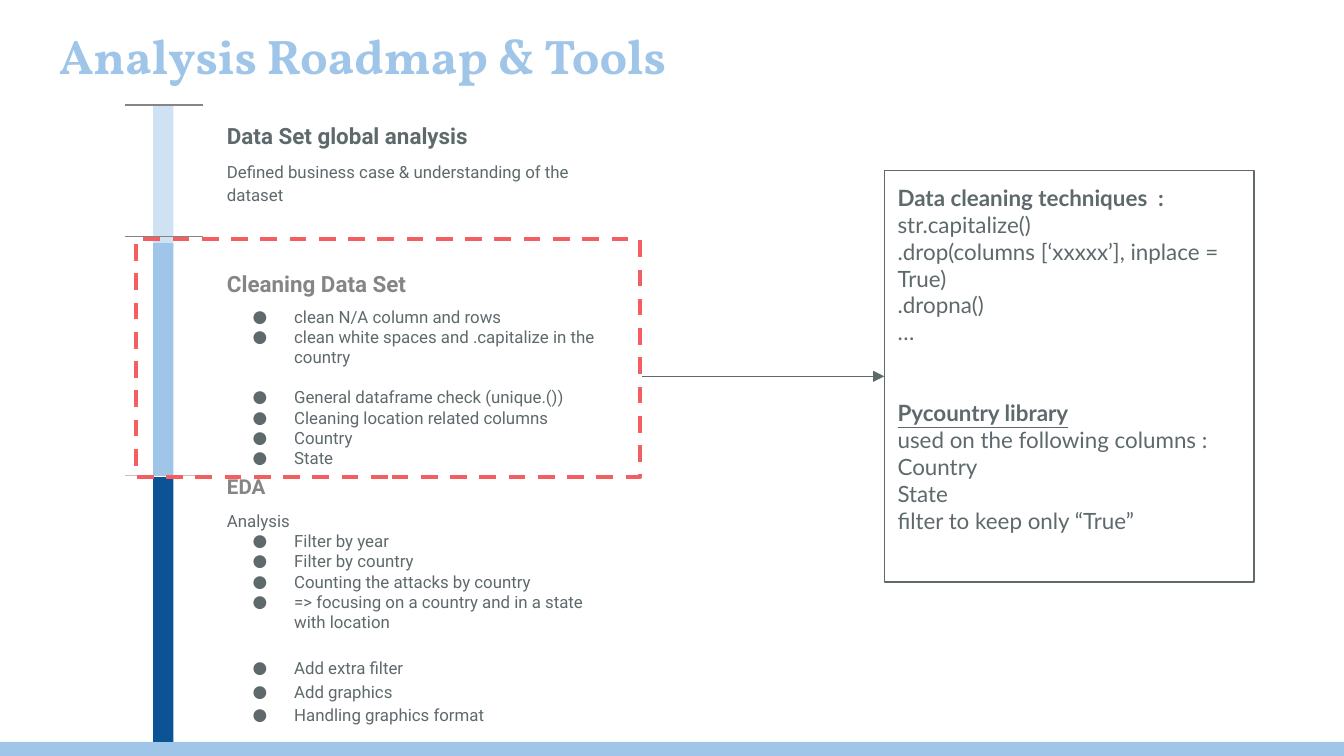
import dataclasses

import pptx
import pptx.dml.color
import pptx.enum.dml
import pptx.enum.shapes
import pptx.enum.text
import pptx.oxml
import pptx.oxml.ns
import pptx.util


@dataclasses.dataclass(frozen=True)
class Theme:
    sky: str = "9FC5E8"
    pale: str = "CFE2F3"
    navy: str = "0B5394"
    ink: str = "5E696C"
    grey: str = "858585"
    light_grey: str = "C2C2C2"
    red: str = "F55E61"
    title_font: str = "Vollkorn"
    body_font: str = "Roboto"
    panel_font: str = "Lato"
    title_size: int = 26
    heading_size: int = 12
    small_heading_size: int = 11
    body_size: int = 9


T = Theme()
RGB = pptx.dml.color.RGBColor.from_string
RECT = pptx.enum.shapes.MSO_SHAPE.RECTANGLE
STRAIGHT = pptx.enum.shapes.MSO_CONNECTOR.STRAIGHT

prs = pptx.Presentation()
prs.slide_width = pptx.util.Inches(10)
prs.slide_height = prs.slide_width * 9 // 16
COL = ROW = prs.slide_width // 100
s = prs.slides.add_slide(prs.slide_layouts[5])


def add_text(sp, text, size, font, color, bold=False, bullet=False, gap=0, spacing=1.0):
    tf = sp.text_frame
    tf.word_wrap = True
    tf.vertical_anchor = pptx.enum.text.MSO_ANCHOR.TOP
    tf.margin_left = tf.margin_right = tf.margin_top = tf.margin_bottom = COL
    p = tf.add_paragraph() if tf.paragraphs[0].runs else tf.paragraphs[0]
    p.alignment = pptx.enum.text.PP_ALIGN.LEFT
    p.line_spacing = spacing
    if gap:
        p.space_before = pptx.util.Pt(gap)
    if bullet:
        pPr = p._p.get_or_add_pPr()
        pPr.set("marL", str(5 * COL))
        pPr.set("indent", str(int(-3.1 * COL)))
        ns = pptx.oxml.ns.nsdecls("a")
        pPr.append(pptx.oxml.parse_xml(f'<a:buClr {ns}><a:srgbClr val="{color}"/></a:buClr>'))
        pPr.append(pptx.oxml.parse_xml(f'<a:buFont {ns} typeface="{font}"/>'))
        pPr.append(pptx.oxml.parse_xml(f'<a:buChar {ns} char="●"/>'))
    r = p.add_run()
    r.text = text
    r.font.size = pptx.util.Pt(size)
    r.font.name = font
    r.font.bold = bold
    r.font.color.rgb = RGB(color)
    return r


def add_line(shapes, x1, y1, x2, y2, color):
    ln = shapes.add_connector(STRAIGHT, int(x1 * COL), int(y1 * ROW), int(x2 * COL), int(y2 * ROW))
    ln.line.color.rgb = RGB(color)
    ln.line.width = pptx.util.Pt(0.75)
    ln._element.spPr.append(pptx.oxml.parse_xml(f'<a:effectLst {pptx.oxml.ns.nsdecls("a")}/>'))
    return ln


title = s.shapes.title
title.left, title.top = int(3.4 * COL), int(0.9 * ROW)
title.width, title.height = int(93.2 * COL), int(6.8 * ROW)
add_text(title, "Analysis Roadmap & Tools", T.title_size, T.title_font, T.sky, bold=True)

footer = s.shapes.add_shape(RECT, 0, int(55.2 * ROW), prs.slide_width, prs.slide_height - int(55.2 * ROW))
footer.shadow.inherit = False
footer.fill.solid()
footer.fill.fore_color.rgb = RGB(T.sky)
footer.line.fill.background()

# bar top, bar height, tick row, bar colour, tick colour,
# heading row, heading, heading size, heading colour, body height, body (text, bullet, gap, spacing)
stages = [
    (7.8, 10.6, 7.8, T.pale, T.grey, 7.8, "Data Set global analysis", T.heading_size, T.ink, 4.5, [
        ("Defined business case & understanding of the dataset", False, 0, 1.15),
    ]),
    (18.1, 17.3, 17.6, T.sky, T.grey, 18.8, "Cleaning Data Set", T.heading_size, T.grey, 13.6, [
        ("clean N/A column and rows", True, 0, 1.0),
        ("clean white spaces and .capitalize in the country", True, 0, 1.0),
        ("General dataframe check (unique.())", True, 10.8, 1.0),
        ("Cleaning location related columns", True, 0, 1.0),
        ("Country", True, 0, 1.0),
        ("State", True, 0, 1.0),
    ]),
    (35.5, 19.7, 35.4, T.navy, T.light_grey, 34, "EDA", T.small_heading_size, T.grey, 11.2, [
        ("Analysis", False, 0, 1.0),
        ("Filter by year", True, 0, 1.0),
        ("Filter by country", True, 0, 1.0),
        ("Counting the attacks by country", True, 0, 1.0),
        ("=> focusing on a country and in a state with location", True, 0, 1.0),
        ("Add extra filter", True, 12.4, 1.15),
        ("Add graphics", True, 0, 1.15),
        ("Handling graphics format", True, 0, 1.15),
    ]),
]
for top, height, tick, fill, tick_color, row, heading, size, color, body_height, body in stages:
    grp = s.shapes.add_group_shape()
    bar = grp.shapes.add_shape(RECT, int(11.4 * COL), int(top * ROW), int(1.5 * COL), int(height * ROW))
    bar.shadow.inherit = False
    bar.fill.solid()
    bar.fill.fore_color.rgb = RGB(fill)
    bar.line.fill.background()
    add_line(grp.shapes, 15.1, tick, 9.3, tick, tick_color)

    head = s.shapes.add_textbox(int(15.9 * COL), int(row * ROW), int(29.8 * COL), 3 * ROW)
    add_text(head, heading, size, T.body_font, color, bold=True, spacing=1.15)
    box = s.shapes.add_textbox(int(15.9 * COL), int((row + 3) * ROW), int(29.8 * COL), int(body_height * ROW))
    for text, bullet, gap, spacing in body:
        add_text(box, text, T.body_size, T.body_font, T.ink, bullet=bullet, gap=gap, spacing=spacing)

panel = s.shapes.add_shape(RECT, int(65.8 * COL), int(12.7 * ROW), int(27.5 * COL), int(30.6 * ROW))
focus = s.shapes.add_shape(RECT, int(10.1 * COL), int(17.8 * ROW), int(37.5 * COL), int(17.7 * ROW))
for sp, color, width in ((panel, T.ink, 0.75), (focus, T.red, 2.25)):
    sp.shadow.inherit = False
    sp.fill.background()
    sp.line.color.rgb = RGB(color)
    sp.line.width = pptx.util.Pt(width)
focus.line.dash_style = pptx.enum.dml.MSO_LINE.DASH

techniques = ["str.capitalize()", ".drop(columns [‘xxxxx’], inplace = True)", ".dropna()", "…"]
library_uses = ["used on the following columns :", "Country", "State", "filter to keep only “True”"]
add_text(panel, "Data cleaning techniques  :", T.heading_size, T.panel_font, T.ink, bold=True)
for text in techniques:
    add_text(panel, text, T.heading_size, T.panel_font, T.ink)
r = add_text(panel, "Pycountry library", T.heading_size, T.panel_font, T.ink, bold=True, gap=28.8)
r.font.underline = True
for text in library_uses:
    add_text(panel, text, T.heading_size, T.panel_font, T.ink)

arrow = add_line(s.shapes, 47.8, 28, 65.8, 28, T.ink)
arrow.end_connect(panel, 1)
arrow.line._get_or_add_ln().append(
    pptx.oxml.parse_xml(f'<a:tailEnd {pptx.oxml.ns.nsdecls("a")} type="triangle"/>'))

prs.save("out.pptx")
